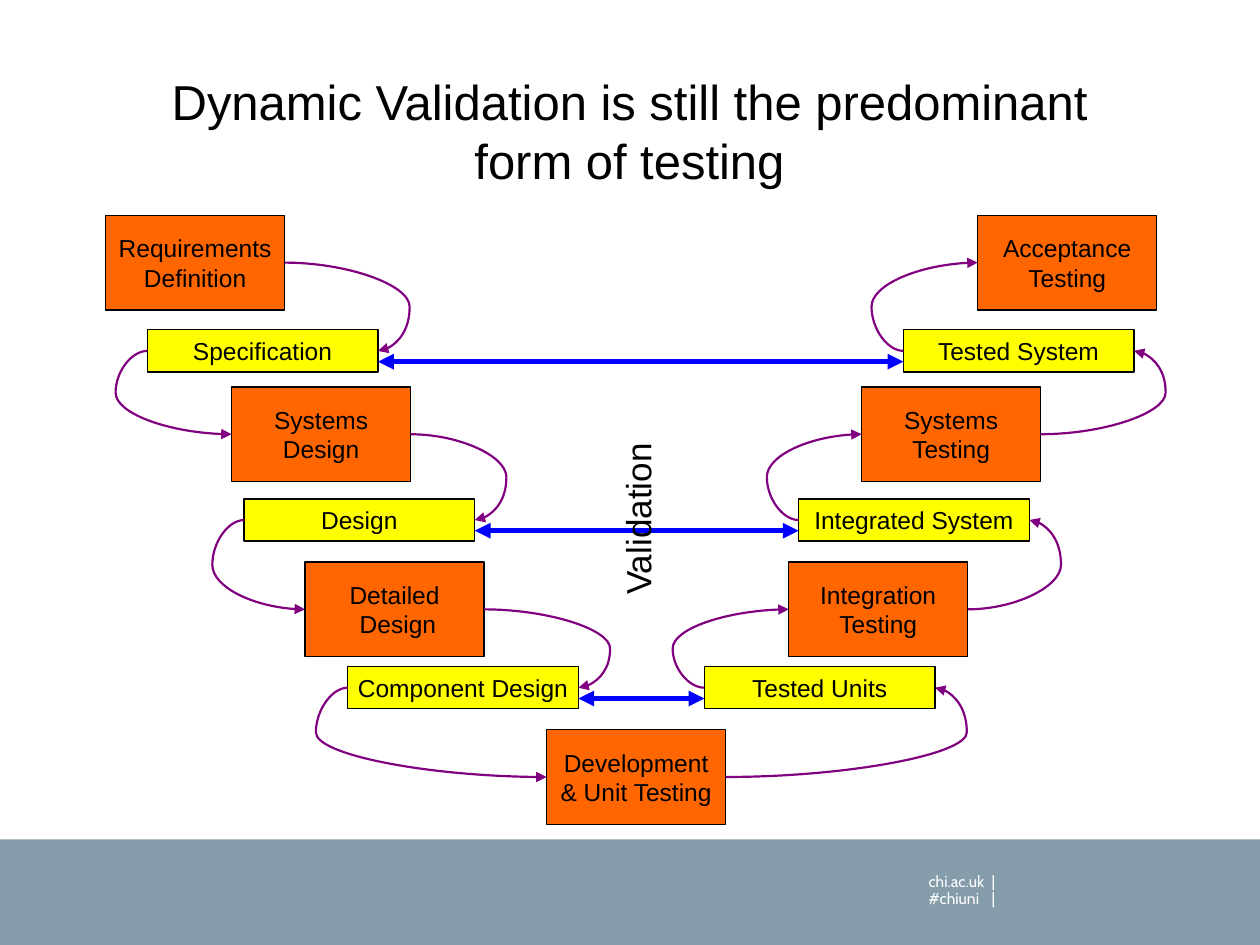
from collections import namedtuple
from dataclasses import dataclass
from itertools import pairwise

from lxml import etree
from pptx import Presentation
from pptx import util as u
from pptx.dml.color import RGBColor
from pptx.enum import shapes, text
from pptx.oxml import ns

Box = namedtuple("Box", "left top width height")


@dataclass(frozen=True)
class Theme:
    stage: str = "FF6600"
    product: str = "FFFF00"
    flow: str = "800080"
    validation: str = "0000FF"
    footer: str = "859DAA"
    ink: str = "000000"
    paper: str = "FFFFFF"
    font: str = "Arial"
    footer_font: str = "Cabin"
    title_size: float = 28
    label_size: float = 20
    box_size: float = 14
    footer_size: float = 9


THEME = Theme()
RIGHT_SIDE, LEFT_SIDE = 3, 1
STAGE_SIZE = (3.61, 1.91)
PRODUCT_SIZE = (4.65, 0.85)
CURVE_BULGE = 0.64
VALIDATION_DROP = 0.64

# Stages and products alternate, down the left arm of the V and up the right.
STEPS = [
    ("Requirements\nDefinition", 0, 0),
    ("Specification", 0.84, 2.31),
    ("Systems\nDesign", 2.54, 3.46),
    ("Design", 2.79, 5.72),
    ("Detailed\n Design", 4.02, 6.99),
    ("Component Design", 4.88, 9.1),
    ("Development\n& Unit Testing", 8.89, 10.37),
    ("Tested Units", 12.07, 9.1),
    ("Integration\nTesting", 13.77, 6.99),
    ("Integrated System", 13.97, 5.72),
    ("Systems\nTesting", 15.24, 3.46),
    ("Tested System", 16.08, 2.31),
    ("Acceptance\nTesting", 17.58, 0),
]


def set_all(target, formats):
    for name, value in formats.items():
        setattr(target, name, value)


def in_cm(box):
    return [u.Cm(value) for value in box]


def write(shape, words, size, frame_format, align, font=THEME.font, color=THEME.ink):
    frame = shape.text_frame
    set_all(frame, frame_format)
    frame.text = words
    for para in frame.paragraphs:
        para.alignment = align
        set_all(para.font, {"name": font, "size": u.Pt(size)})
        para.font.color.rgb = RGBColor.from_string(color)


def add_box(page, box, fill, outline=None):
    shape = page.shapes.add_shape(shapes.MSO_SHAPE.RECTANGLE, *in_cm(box))
    shape.shadow.inherit = False
    shape.fill.solid()
    shape.fill.fore_color.rgb = RGBColor.from_string(fill)
    if outline:
        shape.line.color.rgb = RGBColor.from_string(outline)
        shape.line.width = u.Pt(0.75)
    else:
        shape.line.fill.background()
    return shape


def add_arrow(page, kind, ends, color, width, heads):
    """Draw a connector; heads names its arrow ends, headEnd before tailEnd."""
    arrow = page.shapes.add_connector(kind, *ends)
    arrow.line.color.rgb = RGBColor.from_string(color)
    arrow.line.width = u.Pt(width)
    for head in heads:
        etree.SubElement(arrow.line._ln, ns.qn(f"a:{head}"), type="triangle")
    etree.SubElement(arrow._element.spPr, ns.qn("a:effectLst"))
    return arrow


def join_steps(page, start, end, side):
    """Curve from one side of a step to the same side of the next one."""
    arrow = add_arrow(page, shapes.MSO_CONNECTOR.CURVE, (0, 0, 0, 0),
                      THEME.flow, 1.25, ["tailEnd"])
    arrow.begin_connect(start, side)
    arrow.end_connect(end, side)
    bulge = u.Cm(CURVE_BULGE) / arrow.width
    bend = 1 + bulge if side == RIGHT_SIDE else -bulge
    geometry = arrow._element.spPr.find(ns.qn("a:prstGeom"))
    guides = geometry.find(ns.qn("a:avLst"))
    if guides is None:
        guides = etree.SubElement(geometry, ns.qn("a:avLst"))
    etree.SubElement(guides, ns.qn("a:gd"), name="adj1",
                     fmla=f"val {round(bend * 100000)}")


def draw_title(page, box):
    title = page.shapes.add_textbox(*in_cm(box))
    write(title, "Dynamic Validation is still the predominant form of testing",
          THEME.title_size, {"word_wrap": True}, text.PP_ALIGN.CENTER)


def draw_v_model(page, box):
    frame_format = {"word_wrap": False, "vertical_anchor": text.MSO_ANCHOR.MIDDLE}
    steps = []
    for index, (words, x, y) in enumerate(STEPS):
        size, fill = ((PRODUCT_SIZE, THEME.product) if index % 2
                      else (STAGE_SIZE, THEME.stage))
        step = add_box(page, Box(box.left + x, box.top + y, *size), fill, THEME.ink)
        write(step, words, THEME.box_size, frame_format, text.PP_ALIGN.CENTER)
        steps.append(step)

    for index, (start, end) in enumerate(pairwise(steps)):
        join_steps(page, start, end, LEFT_SIDE if index % 2 else RIGHT_SIDE)

    products = steps[1::2]
    for design, tested in zip(products[:3], reversed(products)):
        level = design.top + u.Cm(VALIDATION_DROP)
        add_arrow(page, shapes.MSO_CONNECTOR.STRAIGHT,
                  (design.left + design.width, level, tested.left, level),
                  THEME.validation, 3, ["headEnd", "tailEnd"])

    label = page.shapes.add_textbox(
        *in_cm(Box(box.left + 8.77, box.top + 5.41, 3.89, 1.09)))
    label.rotation = 270
    write(label, "Validation", THEME.label_size, {"word_wrap": False},
          text.PP_ALIGN.LEFT)


def draw_footer(page, box):
    add_box(page, box, THEME.footer)
    contact = page.shapes.add_textbox(
        *in_cm(Box(box.left + 18.57, box.top + 0.61, 3.22, 0.89)))
    properties = contact.text_frame.paragraphs[0]._p.get_or_add_pPr()
    stops = etree.SubElement(properties, ns.qn("a:tabLst"))
    for position in (1.33, 1.61, 2.88):
        etree.SubElement(stops, ns.qn("a:tab"), pos=str(u.Cm(position)), algn="l")
    margins = {"margin_left": u.Cm(0.15), "margin_right": 0,
               "margin_top": u.Cm(0.08), "margin_bottom": u.Cm(0.08)}
    write(contact, "chi.ac.uk\t|\t#chiuni\t|", THEME.footer_size,
          {"word_wrap": True, **margins}, text.PP_ALIGN.LEFT,
          THEME.footer_font, THEME.paper)
    contact.text_frame.paragraphs[0].line_spacing = 0.9


def main():
    deck = Presentation()
    set_all(deck, {"slide_width": u.Cm(25.4), "slide_height": u.Cm(19.05)})
    page = deck.slides.add_slide(deck.slide_layouts[6])
    draw_footer(page, Box(0, 16.92, 25.4, 2.13))
    draw_v_model(page, Box(2.13, 4.34, 21.19, 12.28))
    draw_title(page, Box(2.11, 1.32, 21.16, 2.62))
    deck.save("out.pptx")


if __name__ == "__main__":
    main()
